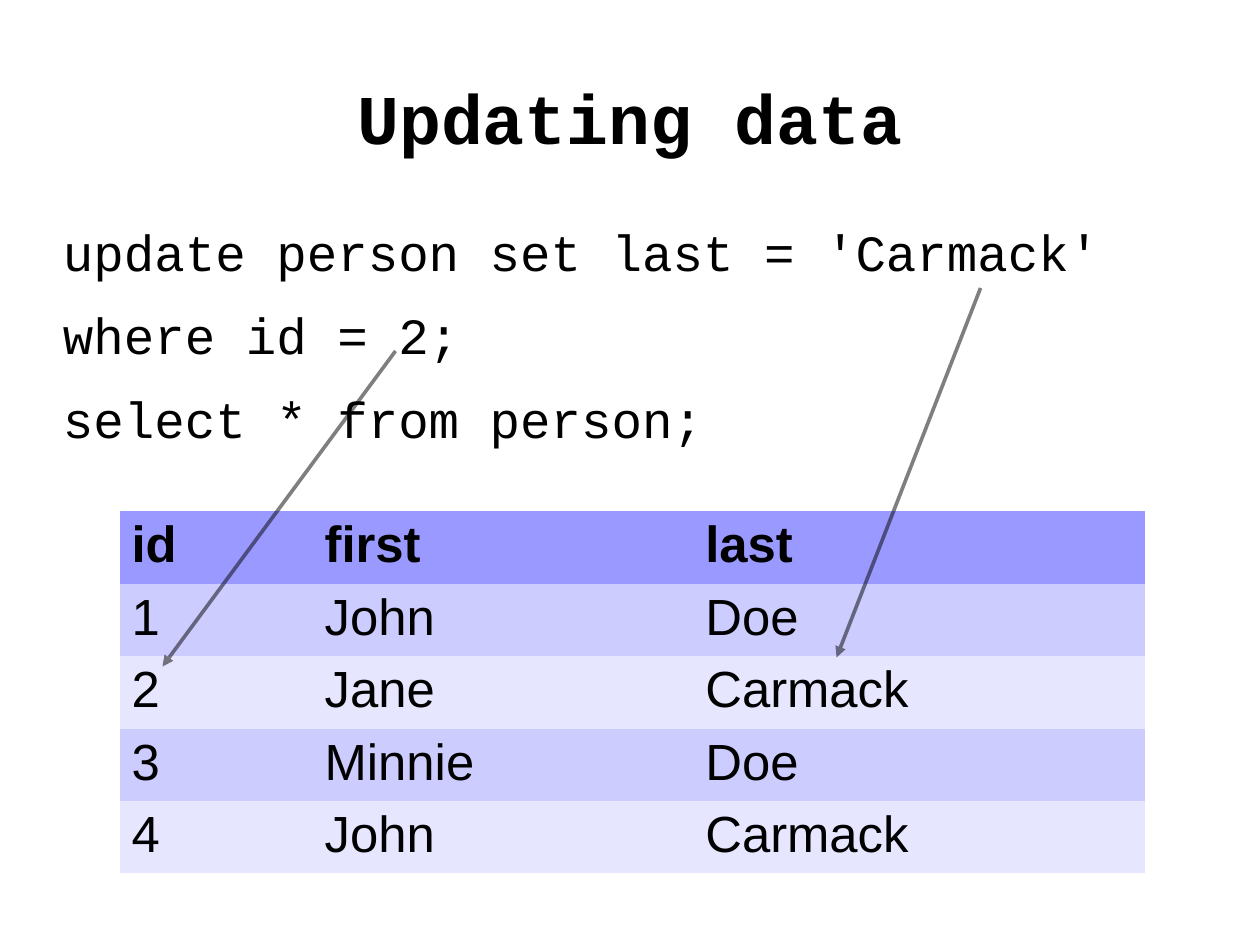
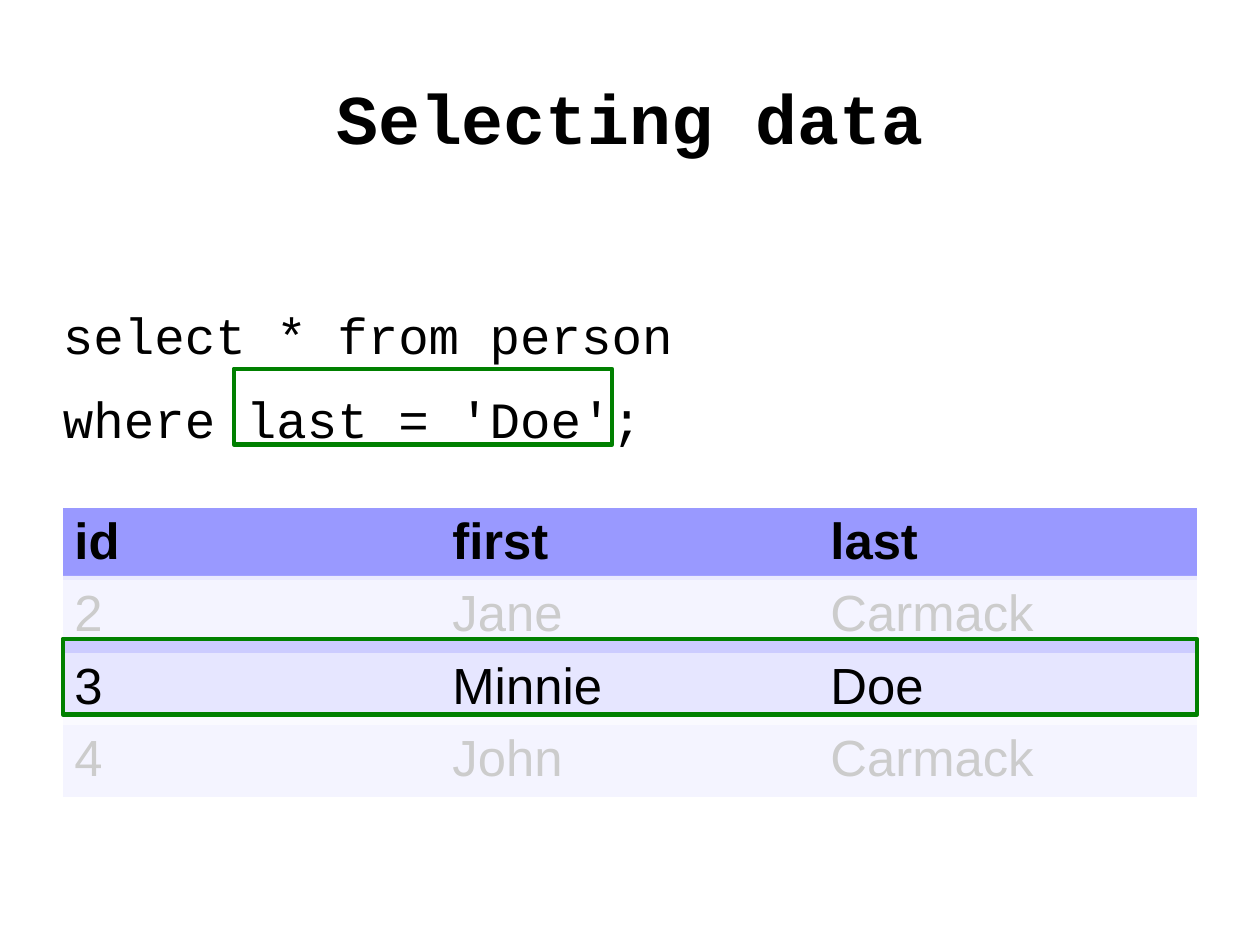
from lxml.etree import SubElement
from pptx import Presentation
from pptx.dml.color import RGBColor
from pptx.enum.shapes import MSO_CONNECTOR, MSO_SHAPE
from pptx.enum.text import MSO_ANCHOR, PP_ALIGN
from pptx.oxml.ns import qn
from pptx.util import Cm, Pt

BLACK, WHITE, GREEN = "000000", "FFFFFF", "008000"
HEADER_FILL, BAND_FILLS = "9999FF", ("CCCCFF", "E6E6FF")
CODE_FONT, TABLE_FONT = "Courier New", "Arial"
LEFT, WIDTH, ROW_HEIGHT = 1.4, 25.2, 1.53
NO_TABLE_STYLE = "{2D5ABB26-0587-4C30-8999-92F81FD0307C}"


def paint(fill, color, opacity=100):
    """Give a shape, line, cell or font fill a solid colour."""
    fill.solid()
    fill.fore_color.rgb = RGBColor.from_string(color)
    if opacity < 100:
        color_element = fill._xPr.find(qn("a:solidFill"))[0]
        SubElement(color_element, qn("a:alpha")).set("val", str(opacity * 1000))


def add_text(slide, box, lines, size, bold=False):
    """Add a text box without insets, in the code font, and return it."""
    shape = slide.shapes.add_textbox(*map(Cm, box))
    frame = shape.text_frame
    frame.word_wrap = True
    frame.margin_left = frame.margin_right = frame.margin_top = frame.margin_bottom = 0
    frame.text = "\n".join(lines)
    for paragraph in frame.paragraphs:
        font = paragraph.font
        font.name, font.size, font.bold = CODE_FONT, Pt(size), bold
        paint(font.fill, BLACK)
    return shape


presentation = Presentation()
presentation.slide_width, presentation.slide_height = Cm(28), Cm(21)

header = ("id", "first", "last")
jane, minnie, john = ("2", "Jane", "Carmack"), ("3", "Minnie", "Doe"), ("4", "John", "Carmack")
# title, code lines, code top, table left and top, column widths, table rows
contents = [
    ("Updating data",
     ["update person set last = 'Carmack'", "where id = 2;", "select * from person;"],
     4.9, (2.67, 11.36), (4.29, 8.46, 10.03),
     [header, ("1", "John", "Doe"), jane, minnie, john]),
    ("Selecting data",
     ["select * from person", "where last = 'Doe';"],
     6.76, (LEFT, 11.28), (WIDTH / 3,) * 3,
     [header, jane, minnie, john]),
]

slides = []
for title, code, code_top, table_corner, column_widths, rows in contents:
    slide = presentation.slides.add_slide(presentation.slide_layouts[6])
    slides.append(slide)

    title_frame = add_text(slide, (LEFT, 0.84, WIDTH, 3.5), [title], 44, bold=True).text_frame
    title_frame.vertical_anchor = MSO_ANCHOR.MIDDLE
    title_frame.paragraphs[0].alignment = PP_ALIGN.CENTER

    code_box = add_text(slide, (LEFT, code_top, WIDTH, 1.65 * len(code)), code, 32)
    for paragraph in code_box.text_frame.paragraphs:
        paragraph.space_after = Pt(14.2)

    table_size = sum(column_widths), ROW_HEIGHT * len(rows)
    table = slide.shapes.add_table(
        len(rows), len(header), *map(Cm, table_corner + table_size)).table
    table._tbl.tblPr.find(qn("a:tableStyleId")).text = NO_TABLE_STYLE
    table.first_row = table.horz_banding = False
    for column, width in zip(table.columns, column_widths):
        column.width = Cm(width)
    for row_index, row in enumerate(rows):
        row_fill = BAND_FILLS[(row_index - 1) % 2] if row_index else HEADER_FILL
        for cell, value in zip(table.rows[row_index].cells, row):
            cell.text = value
            paint(cell.fill, row_fill)
            font = cell.text_frame.paragraphs[0].font
            font.name, font.size, font.bold = TABLE_FONT, Pt(32), row_index == 0
            paint(font.fill, BLACK)

updating_slide, selecting_slide = slides

# Arrows from the values in the statement to the table cells
for ends in [(8.79, 7.8, 3.61, 14.81), (21.79, 6.4, 18.59, 14.61)]:
    arrow = updating_slide.shapes.add_connector(MSO_CONNECTOR.STRAIGHT, *map(Cm, ends))
    arrow.line.width = Pt(2.3)
    paint(arrow.line.fill, BLACK, opacity=50)
    SubElement(arrow.line._get_or_add_ln(), qn("a:tailEnd")).set("type", "triangle")
    SubElement(arrow._element.spPr, qn("a:effectLst"))

# Veils fade the rows that do not match; frames mark the condition and its match
condition_frame = (5.2, 8.2, 8.4, 1.68)
lower_veil = (1.2, 15.9, 26.4, 2.1)
upper_veil = (0.6, 12.8, 26.4, 1.4)
match_frame = (LEFT, 14.2, WIDTH, 1.68)
for box, is_veil in [(condition_frame, False), (lower_veil, True),
                     (upper_veil, True), (match_frame, False)]:
    shape = selecting_slide.shapes.add_shape(MSO_SHAPE.RECTANGLE, *map(Cm, box))
    shape.shadow.inherit = False
    if is_veil:
        paint(shape.fill, WHITE, opacity=80)
        shape.line.fill.background()
    else:
        shape.fill.background()
        paint(shape.line.fill, GREEN)
        shape.line.width = Pt(3)

presentation.save("out.pptx")
